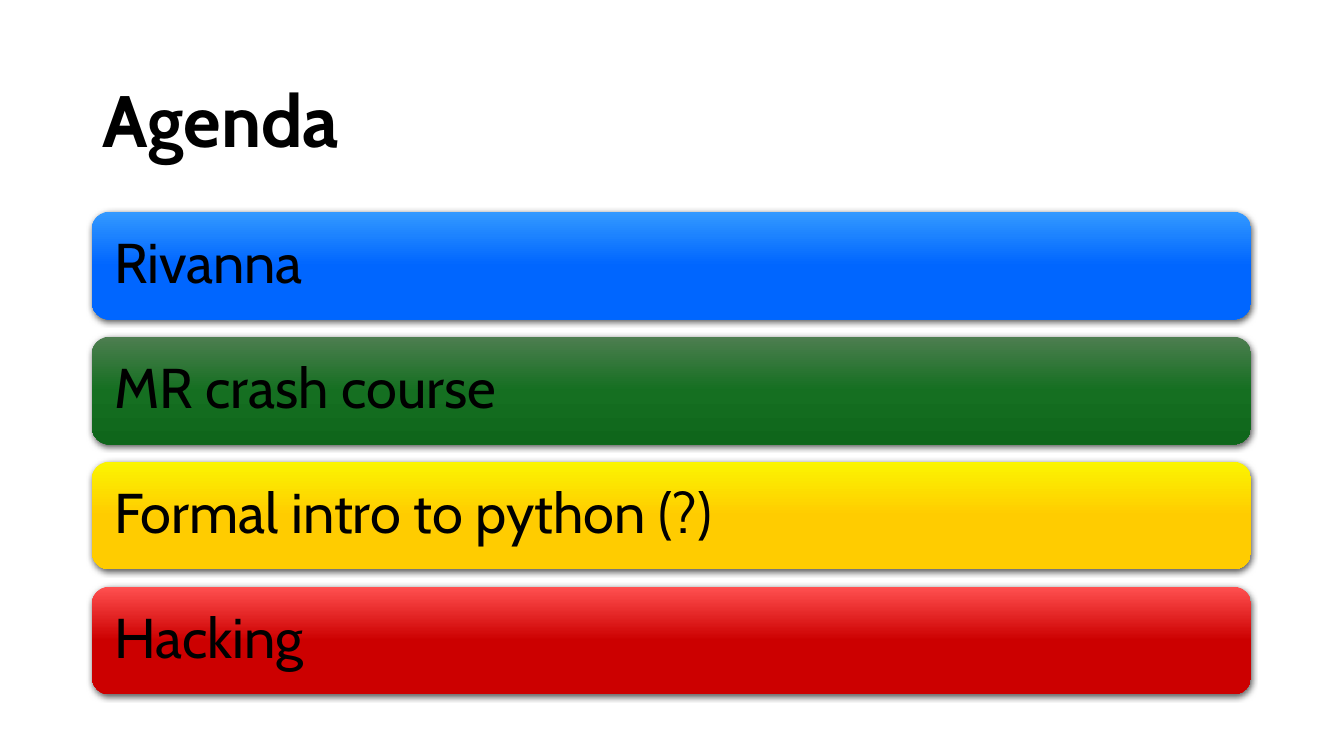
import copy

import lxml.etree
import pptx
import pptx.dml.color
import pptx.enum.shapes
import pptx.enum.text
import pptx.oxml.ns
import pptx.util

Inches = pptx.util.Inches
qn = pptx.oxml.ns.qn


def rgb(value):
    return pptx.dml.color.RGBColor.from_string(value)


def write(tf, text, size, bold=False):
    tf.word_wrap = True
    tf.vertical_anchor = pptx.enum.text.MSO_ANCHOR.MIDDLE
    p = tf.paragraphs[0]
    p.text = text
    p.alignment = pptx.enum.text.PP_ALIGN.LEFT
    p.line_spacing = 0.9
    r = p.runs[0]
    r.font.name = "Cabin"
    r.font.size = pptx.util.Pt(size)
    r.font.bold = bold
    r.font.color.rgb = rgb("000000")


prs = pptx.Presentation()
prs.slide_width = Inches(13.33)
prs.slide_height = Inches(7.5)
s = prs.slides.add_slide(prs.slide_layouts[6])

title = s.shapes.add_textbox(Inches(0.92), Inches(0.61), Inches(11.5), Inches(1.24))
write(title.text_frame, "Agenda", 52, bold=True)

topics = [
    ("Rivanna", ["3399FF", "0066FF", "0066FF"]),
    ("MR crash course", ["4D7E50", "156F21", "0F661B"]),
    ("Formal intro to python (?)", ["FBF501", "FFCC00", "FFCC00"]),
    ("Hacking", ["FF5050", "CC0000", "CC0000"]),
]
for i, (topic, colors) in enumerate(topics):
    sp = s.shapes.add_shape(
        pptx.enum.shapes.MSO_SHAPE.ROUNDED_RECTANGLE,
        Inches(0.91), Inches(2.1 + 1.24 * i), Inches(11.5), Inches(1.07))
    sp.line.fill.background()

    sp.fill.gradient()
    sp.fill.gradient_angle = 270
    stop_list = sp._element.spPr.find(qn("a:gradFill")).find(qn("a:gsLst"))
    stop_list.append(copy.deepcopy(stop_list[-1]))
    for stop, position, color in zip(sp.fill.gradient_stops, (0, 0.5, 1), colors):
        stop.position = position
        stop.color.rgb = rgb(color)

    sp.shadow.inherit = False
    effects = sp._element.spPr.find(qn("a:effectLst"))
    shadow = lxml.etree.SubElement(
        effects, qn("a:outerShdw"), blurRad=str(pptx.util.Pt(4.5)),
        dist=str(pptx.util.Pt(1.5)), dir="5400000", algn="ctr", rotWithShape="0")
    black = lxml.etree.SubElement(shadow, qn("a:srgbClr"), val="000000")
    lxml.etree.SubElement(black, qn("a:alpha"), val="63000")

    tf = sp.text_frame
    tf.margin_left = tf.margin_right = Inches(0.17)
    tf.margin_top = tf.margin_bottom = Inches(0.17)
    write(tf, topic, 40)

prs.save("out.pptx")
